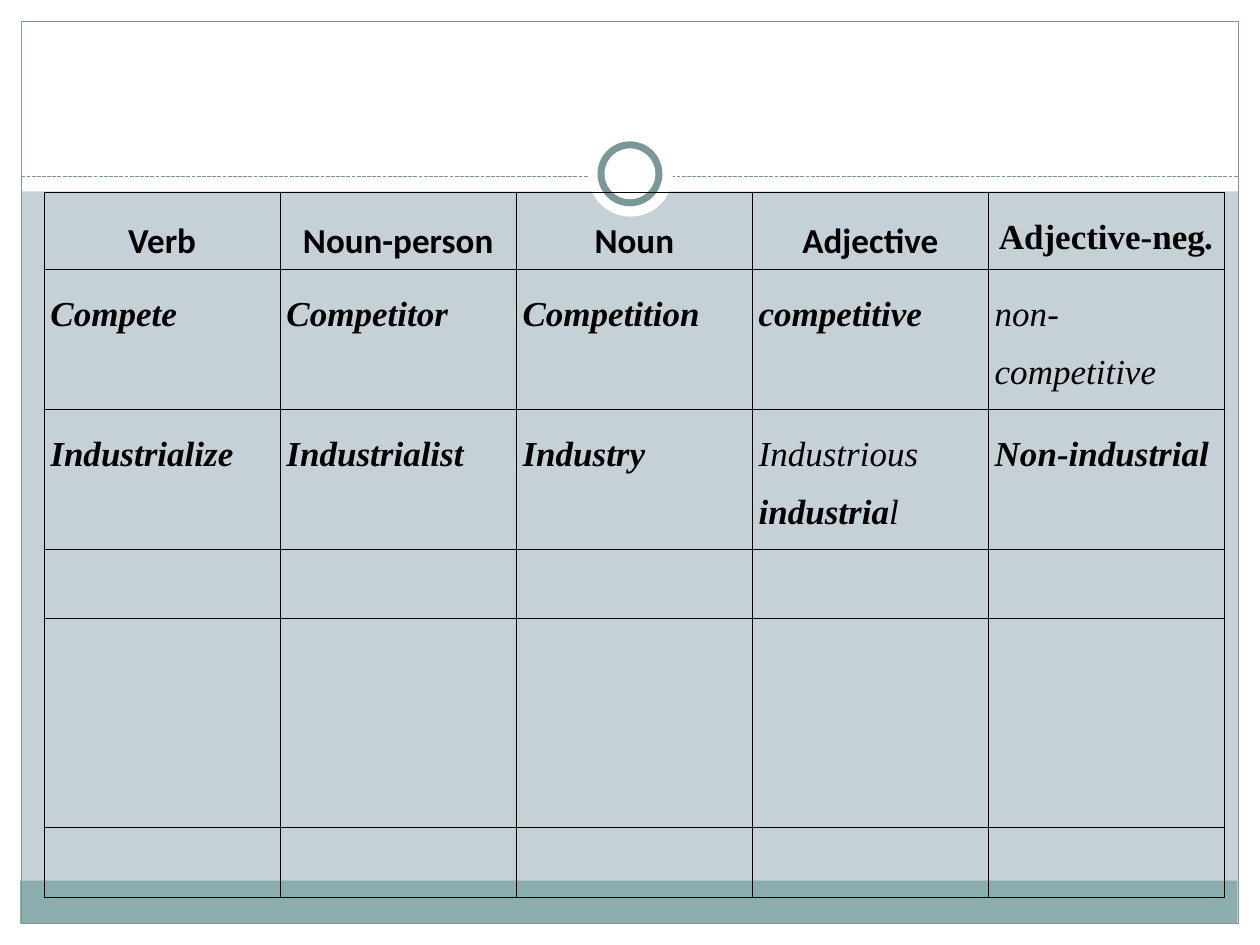
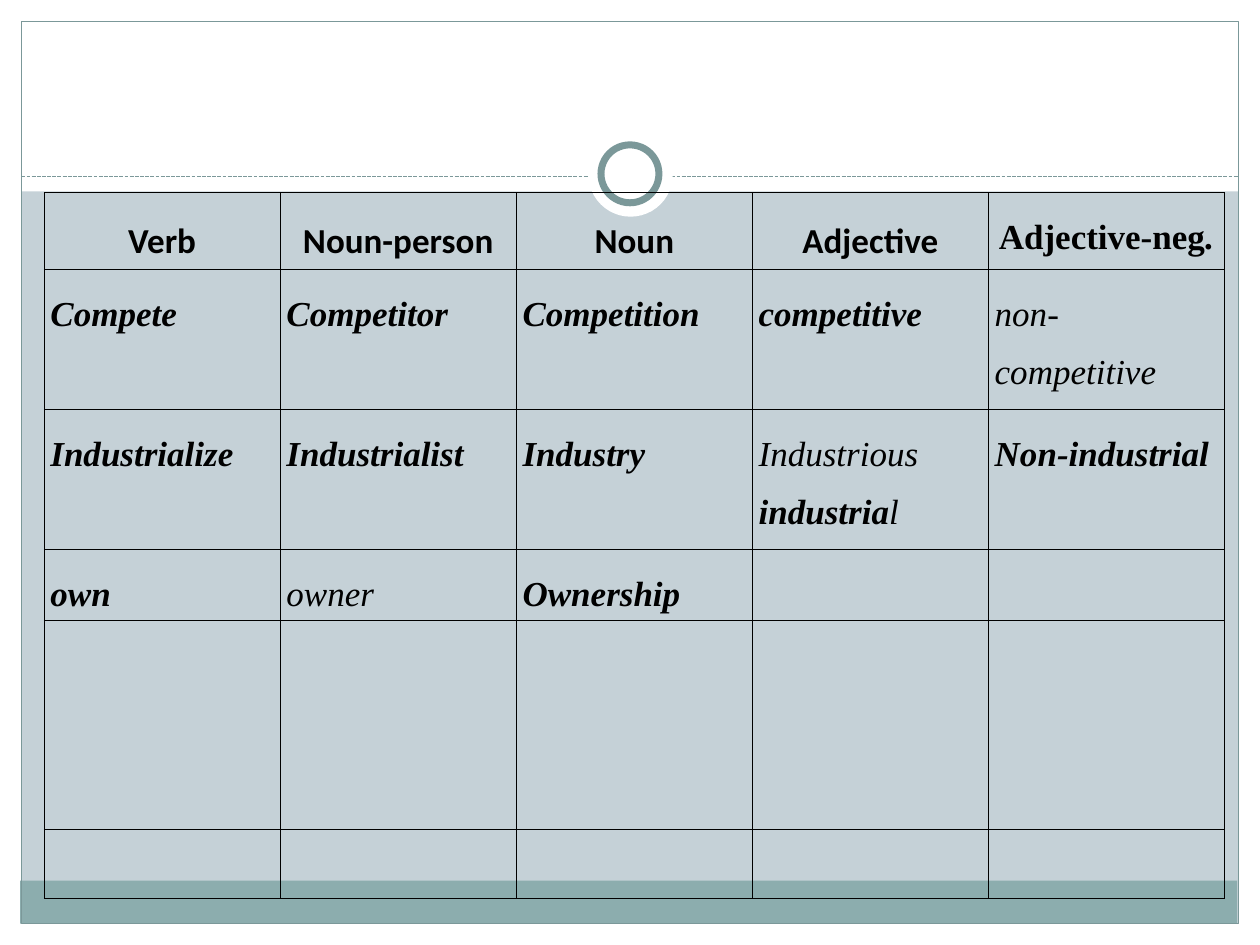
from lxml import etree
from pptx import Presentation
from pptx.dml.color import RGBColor
from pptx.enum import dml, shapes, text
from pptx.oxml.ns import qn
from pptx.util import Inches, Pt

PALE = RGBColor(0xC5, 0xD1, 0xD7)
WHITE = RGBColor(0xFF, 0xFF, 0xFF)
BAND = RGBColor(0x8C, 0xAD, 0xAE)
TEAL = RGBColor(0x7B, 0x98, 0x99)
BLACK = RGBColor(0, 0, 0)

RECT, OVAL = shapes.MSO_SHAPE.RECTANGLE, shapes.MSO_SHAPE.OVAL
FRAME = [  # kind, left, top, width, height, fill
    (RECT, 0, 7.33, 10, 0.17, WHITE),
    (RECT, 0, 0, 10, 1.52, WHITE),
    (RECT, 0, 0, 0.17, 7.5, WHITE),
    (RECT, 9.83, 0, 0.17, 7.5, WHITE),
    (RECT, 0.16, 6.99, 9.66, 0.34, BAND),
]
BORDER = (RECT, 0.17, 0.17, 9.66, 7.16, None)
HALO = (OVAL, 4.67, 1.05, 0.67, 0.67, WHITE)
RING = (OVAL, 4.77, 1.15, 0.46, 0.46, WHITE)

SERIF = "Times New Roman"
HEAD = dict(name="Calibri", bold=True, italic=False)
HEAD_SERIF = dict(name=SERIF, bold=True, italic=False)
KEY = dict(name=SERIF, bold=True, italic=True)
PLAIN = dict(name=SERIF, bold=False, italic=True)

# A cell is a list of paragraphs; a paragraph is a list of (text, style) runs.
HEADER = [[[(word, HEAD)]] for word in ("Verb", "Noun-person", "Noun", "Adjective")]
HEADER.append([[("Adjective-neg", HEAD_SERIF), (".", KEY)]])
COMPETE = [[[(word, KEY)]] for word in ("Compete", "Competitor", "Competition", "competitive")]
COMPETE.append([[("non-competitive", PLAIN)]])
INDUSTRY = [[[(word, KEY)]] for word in ("Industrialize", "Industrialist", "Industry")]
INDUSTRY += [[[("Industrious", PLAIN)], [("industria", KEY), ("l", PLAIN)]],
             [[("Non-industrial", KEY)]]]
OWN = [[[("own", KEY)]], [[("owner", PLAIN)]], [[("Ownership", KEY)]]]

SLIDES = [
    [HEADER, COMPETE, INDUSTRY],
    [HEADER, COMPETE, INDUSTRY, OWN],
]
ROW_HEIGHTS = [0.55, 1.11, 1.11, 0.55, 1.66, 0.55]
COLUMNS, TABLE_WIDTH = 5, 9.37


def add_frame_part(s, part, line_width=None):
    kind, left, top, width, height, fill = part
    sp = s.shapes.add_shape(kind, Inches(left), Inches(top), Inches(width), Inches(height))
    sp.shadow.inherit = False
    if fill is None:
        sp.fill.background()
    else:
        sp.fill.solid()
        sp.fill.fore_color.rgb = fill
    if line_width is None:
        sp.line.fill.background()
    else:
        sp.line.color.rgb = TEAL
        sp.line.width = Pt(line_width)


def set_borders(cell):
    tcPr = cell._tc.get_or_add_tcPr()
    for side in ("a:lnL", "a:lnR", "a:lnT", "a:lnB"):
        ln = etree.SubElement(tcPr, qn(side), w=str(Pt(0.45)))
        fill = etree.SubElement(ln, qn("a:solidFill"))
        etree.SubElement(fill, qn("a:srgbClr"), val=str(BLACK))


prs = Presentation()
prs.slide_width, prs.slide_height = Inches(10), Inches(7.5)

for rows in SLIDES:
    s = prs.slides.add_slide(prs.slide_layouts[6])
    s.background.fill.solid()
    s.background.fill.fore_color.rgb = PALE

    for part in FRAME:
        add_frame_part(s, part)
    add_frame_part(s, BORDER, 0.75)
    rule = s.shapes.add_connector(shapes.MSO_CONNECTOR.STRAIGHT, Inches(0.17), Inches(1.4),
                                  Inches(9.83), Inches(1.4))
    rule.line.color.rgb = TEAL
    rule.line.width = Pt(0.75)
    rule.line.dash_style = dml.MSO_LINE.SQUARE_DOT
    etree.SubElement(rule._element.spPr, qn("a:effectLst"))
    add_frame_part(s, HALO)
    add_frame_part(s, RING, 4)

    table = s.shapes.add_table(len(ROW_HEIGHTS), COLUMNS, Inches(0.35), Inches(1.53),
                               Inches(TABLE_WIDTH), Inches(sum(ROW_HEIGHTS))).table
    table.first_row = table.horz_banding = False
    for column in table.columns:
        column.width = Inches(TABLE_WIDTH / COLUMNS)
    for row, height in zip(table.rows, ROW_HEIGHTS):
        row.height = Inches(height)

    for cell in table.iter_cells():
        set_borders(cell)
        cell.fill.background()
        for side in ("left", "right", "top", "bottom"):
            setattr(cell, f"margin_{side}", Inches(0.05))

    for i, row in enumerate(rows):
        for j, paragraphs in enumerate(row):
            tf = table.cell(i, j).text_frame
            for k, runs in enumerate(paragraphs):
                p = tf.add_paragraph() if k else tf.paragraphs[0]
                p.line_spacing = 1.5
                if i == 0:
                    p.alignment = text.PP_ALIGN.CENTER
                for words, style in runs:
                    r = p.add_run()
                    r.text = words
                    r.font.size = Pt(20)
                    r.font.color.rgb = BLACK
                    for name, value in style.items():
                        setattr(r.font, name, value)

prs.save("out.pptx")
